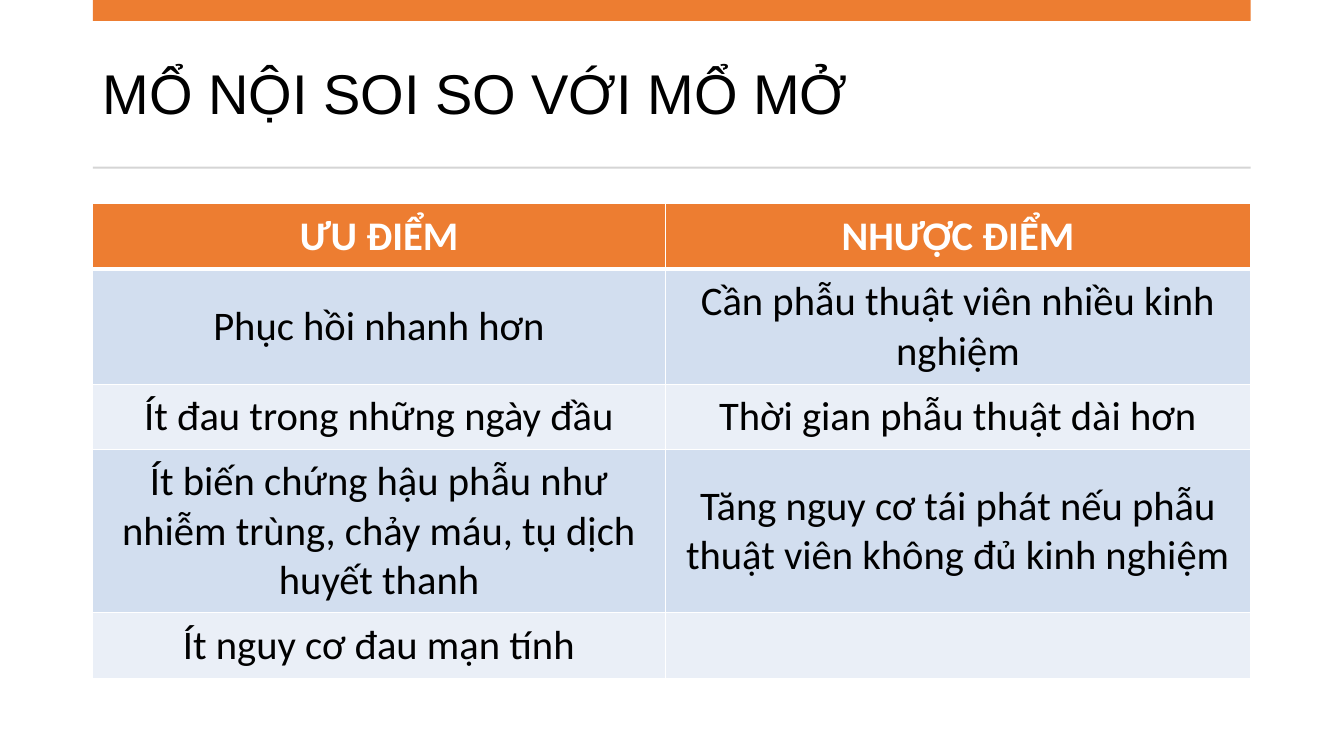
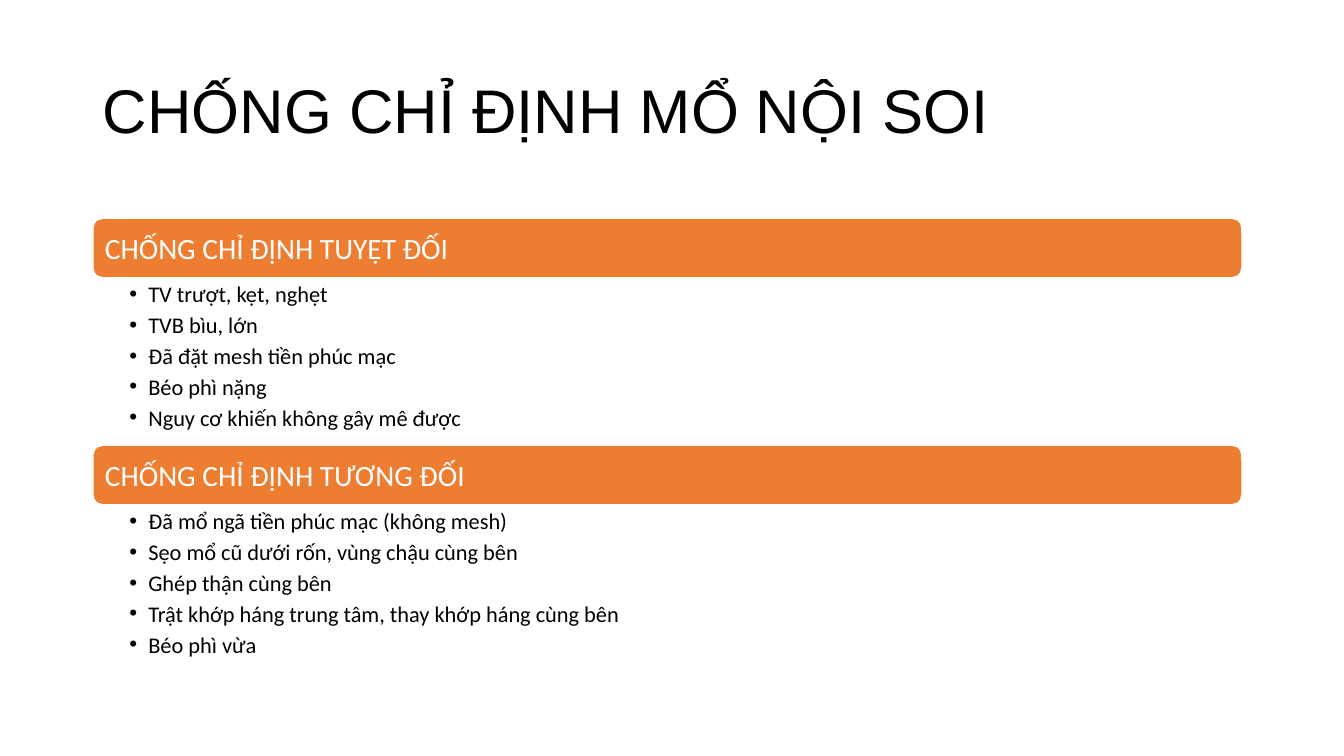
from dataclasses import dataclass

from lxml.etree import SubElement
from pptx import Presentation
from pptx.dml.color import RGBColor
from pptx.enum.shapes import MSO_SHAPE
from pptx.enum.text import MSO_ANCHOR, MSO_AUTO_SIZE, PP_ALIGN
from pptx.oxml.ns import qn
from pptx.presentation import Presentation as Deck
from pptx.shapes.autoshape import Shape
from pptx.slide import Slide
from pptx.table import _Cell
from pptx.text.text import TextFrame
from pptx.util import Cm, Length, Pt

# Shared style
ORANGE = RGBColor(0xED, 0x7D, 0x31)
GREY = RGBColor(0xD5, 0xD5, 0xD5)
BLUE_MID = RGBColor(0xD2, 0xDE, 0xEF)
BLUE_PALE = RGBColor(0xEA, 0xEF, 0xF7)
WHITE = RGBColor(0xFF, 0xFF, 0xFF)
BLACK = RGBColor(0x00, 0x00, 0x00)
TITLE_FONT, BODY_FONT = "Arial", "Calibri"
LEFT, CONTENT_WIDTH = Cm(2.34), Cm(29.18)

# Comparison table
COLUMN_WIDTHS = (Cm(14.43), Cm(14.75))
ROW_HEIGHTS = (Cm(1.65), Cm(2.9), Cm(1.65), Cm(4.11), Cm(1.65))
COMPARISON = (
    ("ƯU ĐIỂM", "NHƯỢC ĐIỂM"),
    ("Phục hồi nhanh hơn", "Cần phẫu thuật viên nhiều kinh nghiệm"),
    ("Ít đau trong những ngày đầu", "Thời gian phẫu thuật dài hơn"),
    ("Ít biến chứng hậu phẫu như nhiễm trùng, chảy máu, tụ dịch huyết thanh",
     "Tăng nguy cơ tái phát nếu phẫu thuật viên không đủ kinh nghiệm"),
    ("Ít nguy cơ đau mạn tính", ""),
)

# Contraindication sections
SECTIONS_TOP, SECTION_WIDTH = Cm(5.5), Cm(28.96)
HEADING_HEIGHT, LIST_HEIGHT = Cm(1.5), Cm(4.22)


@dataclass(frozen=True)
class Section:
    heading: str
    items: tuple[str, ...]


SECTIONS = (
    Section("CHỐNG CHỈ ĐỊNH TUYỆT ĐỐI", (
        "TV trượt, kẹt, nghẹt",
        "TVB bìu, lớn",
        "Đã đặt mesh tiền phúc mạc",
        "Béo phì nặng",
        "Nguy cơ khiến không gây mê được",
    )),
    Section("CHỐNG CHỈ ĐỊNH TƯƠNG ĐỐI", (
        "Đã mổ ngã tiền phúc mạc (không mesh)",
        "Sẹo mổ cũ dưới rốn, vùng chậu cùng bên",
        "Ghép thận cùng bên",
        "Trật khớp háng trung tâm, thay khớp háng cùng bên",
        "Béo phì vừa",
    )),
)


def write_text(frame: TextFrame, *lines: str, size: float,
               color: RGBColor = BLACK, font: str = BODY_FONT,
               bold: bool = False, align: PP_ALIGN = PP_ALIGN.LEFT,
               line_spacing: float = 1.0, space_after: float = 0,
               bullet: str = "") -> None:
    """Write one formatted paragraph per line."""
    for index, line in enumerate(lines):
        paragraph = frame.paragraphs[0] if index == 0 else frame.add_paragraph()
        if bullet:
            properties = paragraph._p.get_or_add_pPr()
            properties.set("marL", str(Cm(0.48)))
            properties.set("indent", str(-Cm(0.48)))
            SubElement(properties, qn("a:buFont"), typeface="Arial")
            SubElement(properties, qn("a:buChar"), char=bullet)
        paragraph.alignment = align
        paragraph.line_spacing = line_spacing
        paragraph.space_after = Pt(space_after)
        run = paragraph.add_run()
        run.text = line
        run.font.name = font
        run.font.size = Pt(size)
        run.font.bold = bold
        run.font.color.rgb = color


def add_titled_slide(deck: Deck, title: str, top: Length, height: Length,
                     size: float) -> Slide:
    slide = deck.slides.add_slide(deck.slide_layouts[5])
    holder = slide.shapes.title
    holder.left, holder.top = LEFT, top
    holder.width, holder.height = CONTENT_WIDTH, height
    frame = holder.text_frame
    frame.auto_size = MSO_AUTO_SIZE.NONE
    frame.vertical_anchor = MSO_ANCHOR.MIDDLE
    write_text(frame, title, size=size, font=TITLE_FONT, line_spacing=0.9)
    return slide


def add_box(slide: Slide, kind: MSO_SHAPE, top: Length, width: Length,
            height: Length, fill: RGBColor) -> Shape:
    box = slide.shapes.add_shape(kind, LEFT, top, width, height)
    box.shadow.inherit = False
    box.fill.solid()
    box.fill.fore_color.rgb = fill
    box.line.fill.background()
    return box


def set_borders(cell: _Cell, top: float, bottom: float) -> None:
    """Give a cell white borders; the sides are 1 pt wide."""
    properties = cell._tc.get_or_add_tcPr()
    for side, width in (("L", 1), ("R", 1), ("T", top), ("B", bottom)):
        line = SubElement(properties, qn(f"a:ln{side}"), w=str(Pt(width)))
        fill = SubElement(line, qn("a:solidFill"))
        SubElement(fill, qn("a:srgbClr"), val=str(WHITE))


def add_comparison(slide: Slide) -> None:
    table = slide.shapes.add_table(
        len(ROW_HEIGHTS), len(COLUMN_WIDTHS), LEFT, Cm(5.13),
        sum(COLUMN_WIDTHS), sum(ROW_HEIGHTS)).table
    for column, width in zip(table.columns, COLUMN_WIDTHS):
        column.width = width
    for row, height in enumerate(ROW_HEIGHTS):
        table.rows[row].height = height
        header = row == 0
        fill = ORANGE if header else BLUE_MID if row % 2 else BLUE_PALE
        for column, text in enumerate(COMPARISON[row]):
            cell = table.cell(row, column)
            set_borders(cell, top=3 if row == 1 else 1, bottom=3 if header else 1)
            cell.fill.solid()
            cell.fill.fore_color.rgb = fill
            cell.vertical_anchor = MSO_ANCHOR.MIDDLE
            cell.margin_left = cell.margin_right = Cm(0.3)
            cell.margin_top = cell.margin_bottom = Cm(0.15)
            if text:
                write_text(cell.text_frame, text, size=29, bold=header,
                           color=WHITE if header else BLACK,
                           align=PP_ALIGN.CENTER)


def add_section(slide: Slide, section: Section, top: Length) -> None:
    # Heading bar
    heading = add_box(slide, MSO_SHAPE.ROUNDED_RECTANGLE, top, SECTION_WIDTH,
                      HEADING_HEIGHT, ORANGE)
    heading.line.color.rgb = WHITE
    heading.line.width = Pt(1)
    frame = heading.text_frame
    frame.vertical_anchor = MSO_ANCHOR.MIDDLE
    frame.margin_left = Cm(0.23)
    write_text(frame, section.heading, size=21, color=WHITE)

    # Bulleted list
    items = slide.shapes.add_textbox(LEFT, top + HEADING_HEIGHT,
                                     SECTION_WIDTH, LIST_HEIGHT).text_frame
    items.word_wrap = True
    items.margin_left, items.margin_right = Cm(0.92), Cm(0.41)
    items.margin_top = items.margin_bottom = Cm(0.07)
    write_text(items, *section.items, size=16, space_after=2.8, bullet="•")


def main() -> None:
    deck = Presentation()
    deck.slide_width, deck.slide_height = Cm(33.87), Cm(19.05)

    # Advantages and drawbacks
    comparison = add_titled_slide(deck, "MỔ NỘI SOI SO VỚI MỔ MỞ",
                                  Cm(0.94), Cm(3), 40)
    add_box(comparison, MSO_SHAPE.RECTANGLE, Cm(0), CONTENT_WIDTH, Cm(0.53), ORANGE)
    add_box(comparison, MSO_SHAPE.RECTANGLE, Cm(4.2), CONTENT_WIDTH, Cm(0.05), GREY)
    add_comparison(comparison)

    # Contraindications
    contraindications = add_titled_slide(deck, "CHỐNG CHỈ ĐỊNH MỔ NỘI SOI",
                                         Cm(1.01), Cm(3.68), 44)
    for index, section in enumerate(SECTIONS):
        add_section(contraindications, section,
                    SECTIONS_TOP + index * (HEADING_HEIGHT + LIST_HEIGHT))

    deck.save("out.pptx")


if __name__ == "__main__":
    main()
